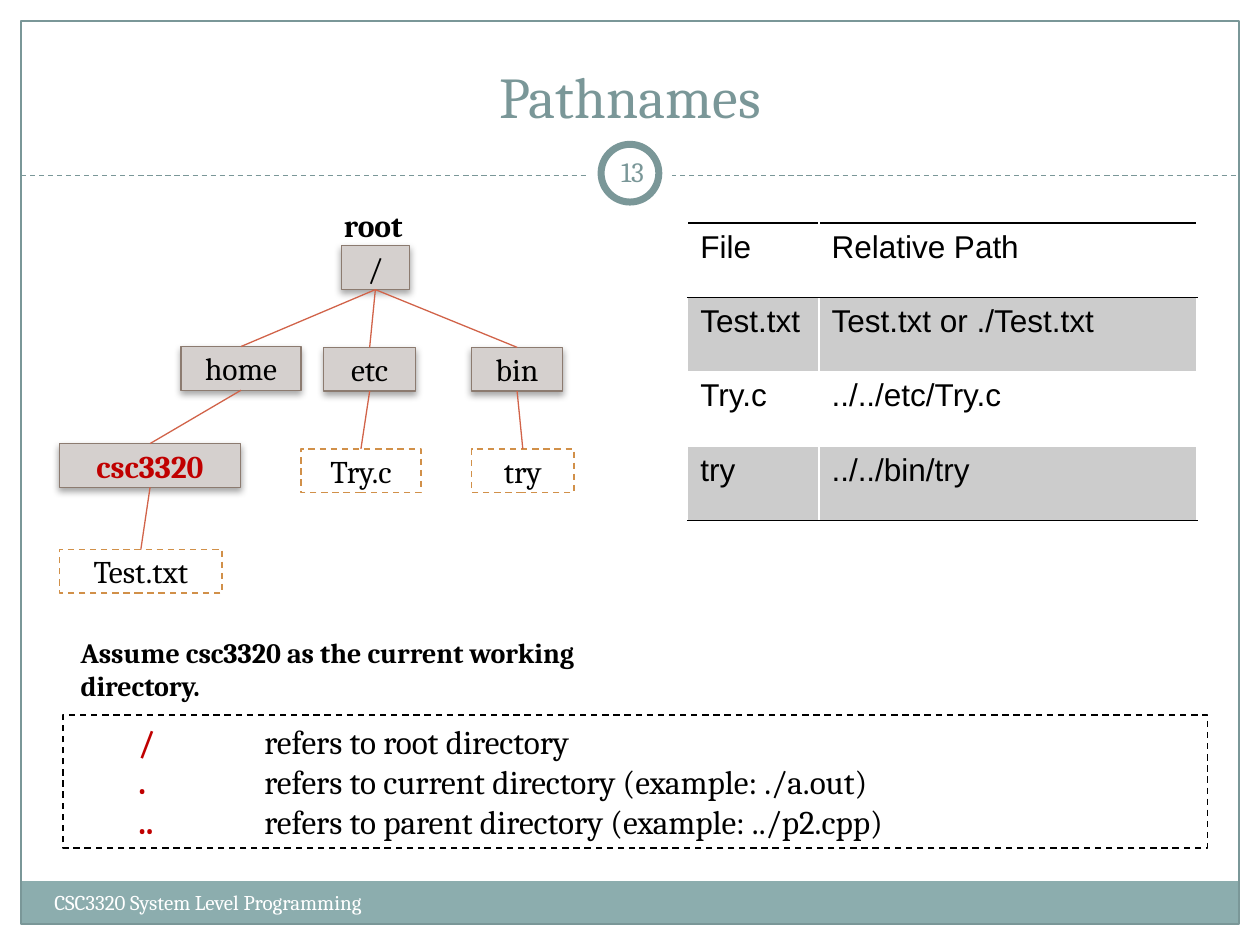
import pptx
import pptx.dml.color
import pptx.enum.dml
import pptx.enum.shapes
import pptx.enum.text
import pptx.oxml.ns
import pptx.util
from lxml import etree

Pt = pptx.util.Pt
SHAPE = pptx.enum.shapes.MSO_SHAPE
ALIGN = pptx.enum.text.PP_ALIGN
ANCHOR = pptx.enum.text.MSO_ANCHOR
DASH = pptx.enum.dml.MSO_LINE.DASH
qn = pptx.oxml.ns.qn

BLACK, WHITE, RED = "000000", "FFFFFF", "C00000"
TEAL, FOOTER_TEAL = "7A9798", "8CADAE"
BOTTOM, TOP = 2, 0


def rgb(color):
    return pptx.dml.color.RGBColor.from_string(color)


class SlideBuilder:
    font = "Cambria"

    def __init__(self, slide):
        self.slide = slide

    def run(self, paragraph, text, size, color=BLACK, bold=False, font=None):
        run = paragraph.add_run()
        run.text = text
        run.font.name = font or self.font
        run.font.size = Pt(size)
        run.font.bold = bold
        run.font.color.rgb = rgb(color)

    def title(self, text, left, top, width, height):
        title = self.slide.shapes.title
        title.left, title.top = Pt(left), Pt(top)
        title.width, title.height = Pt(width), Pt(height)
        frame = title.text_frame
        frame.auto_size = pptx.enum.text.MSO_AUTO_SIZE.NONE
        frame.vertical_anchor = ANCHOR.BOTTOM
        frame.paragraphs[0].alignment = ALIGN.CENTER
        self.run(frame.paragraphs[0], text, 33, TEAL)

    def text(self, text, left, top, width, height, size, color=BLACK, bold=False,
             align=ALIGN.LEFT, anchor=ANCHOR.TOP, side_inset=7.2):
        box = self.slide.shapes.add_textbox(Pt(left), Pt(top), Pt(width), Pt(height))
        frame = box.text_frame
        frame.word_wrap = True
        frame.vertical_anchor = anchor
        frame.margin_left = frame.margin_right = Pt(side_inset)
        frame.paragraphs[0].alignment = align
        self.run(frame.paragraphs[0], text, size, color, bold)

    def stroke(self, line, color, width, dashed=False):
        line.color.rgb = rgb(color)
        line.width = Pt(width)
        if dashed:
            line.dash_style = DASH.DASH

    def shape(self, left, top, width, height, fill=None, line=None, line_width=0.75,
              dashed=False, kind=SHAPE.RECTANGLE):
        shape = self.slide.shapes.add_shape(kind, Pt(left), Pt(top), Pt(width), Pt(height))
        shape.shadow.inherit = False
        if fill:
            shape.fill.solid()
            shape.fill.fore_color.rgb = rgb(fill)
        else:
            shape.fill.background()
        if line:
            self.stroke(shape.line, line, line_width, dashed)
        else:
            shape.line.fill.background()
        return shape

    def drop_shadow(self, shape):
        effects = shape._element.spPr.find(qn("a:effectLst"))
        shadow = etree.SubElement(effects, qn("a:outerShdw"), blurRad=str(Pt(4)),
                                  dist=str(Pt(2)), dir="5400000", rotWithShape="0")
        color = etree.SubElement(shadow, qn("a:srgbClr"), val=BLACK)
        etree.SubElement(color, qn("a:alpha"), val="35000")

    def node(self, name, left, top, width, is_file, color=BLACK, bold=False):
        if is_file:
            node = self.shape(left, top, width, 25, WHITE, "D19049", 0.9, dashed=True)
        else:
            node = self.shape(left, top, width, 25, "D5D0CE", "8C7B70")
            self.drop_shadow(node)
        node.text_frame.vertical_anchor = ANCHOR.MIDDLE
        node.text_frame.paragraphs[0].alignment = ALIGN.CENTER
        self.run(node.text_frame.paragraphs[0], name, 18, color, bold)
        return node

    def line(self, x1, y1, x2, y2, color, dashed=False):
        line = self.slide.shapes.add_connector(
            pptx.enum.shapes.MSO_CONNECTOR.STRAIGHT, Pt(x1), Pt(y1), Pt(x2), Pt(y2))
        self.stroke(line.line, color, 0.75, dashed)
        etree.SubElement(line._element.spPr, qn("a:effectLst"))
        return line

    def branch(self, parent, child):
        branch = self.line(0, 0, 0, 0, "D16349")
        branch.begin_connect(parent, BOTTOM)
        branch.end_connect(child, TOP)

    def definitions(self, entries, left, top, width, height):
        box = self.shape(left, top, width, height, WHITE, BLACK, 0.9, dashed=True)
        frame = box.text_frame
        frame.vertical_anchor = ANCHOR.TOP
        for index, (symbol, meaning) in enumerate(entries):
            entry = frame.add_paragraph() if index else frame.paragraphs[0]
            entry.alignment = ALIGN.LEFT
            # Hanging indent: the tab lands on the left margin
            properties = entry._p.get_or_add_pPr()
            properties.set("marL", str(Pt(108)))
            properties.set("indent", str(Pt(-72)))
            self.run(entry, symbol + "\t", 19, RED, True)
            self.run(entry, meaning, 19)

    def border(self, cell, sides):
        for position, side in enumerate(sides):
            edge = etree.Element(qn("a:" + side), w=str(Pt(1)))
            fill = etree.SubElement(edge, qn("a:solidFill"))
            etree.SubElement(fill, qn("a:srgbClr"), val=BLACK)
            cell._tc.get_or_add_tcPr().insert(position, edge)

    def table(self, rows, left, top, widths, row_height):
        table = self.slide.shapes.add_table(
            len(rows), len(widths), Pt(left), Pt(top),
            Pt(sum(widths)), Pt(row_height * len(rows))).table
        table.first_row = table.horz_banding = False
        for column, width in zip(table.columns, widths):
            column.width = Pt(width)
        borders = {0: ["lnT", "lnB"], 1: ["lnT"], len(rows) - 1: ["lnB"]}
        for r, row in enumerate(rows):
            table.rows[r].height = Pt(row_height)
            for c, value in enumerate(row):
                cell = table.cell(r, c)
                if r % 2:
                    cell.fill.solid()
                    cell.fill.fore_color.rgb = rgb("CCCCCC")
                else:
                    cell.fill.background()
                self.border(cell, borders.get(r, []))
                self.run(cell.text_frame.paragraphs[0], value, 18, font="Arial")


def main():
    deck = pptx.Presentation()
    deck.slide_width, deck.slide_height = Pt(720), Pt(540)
    page = SlideBuilder(deck.slides.add_slide(deck.slide_layouts[5]))

    # Frame, footer and slide number
    page.shape(12, 503.5, 695.5, 24.5, FOOTER_TEAL)
    page.shape(12, 12, 696, 516, line=TEAL)
    page.line(12, 100.5, 708, 100.5, TEAL, dashed=True)
    page.shape(336, 75.5, 48, 48, WHITE, kind=SHAPE.OVAL)
    page.shape(343.5, 82.5, 33, 33, WHITE, TEAL, 4, kind=SHAPE.OVAL)
    page.title("Pathnames", 24, 18, 672, 60)
    page.text("CSC3320 System Level Programming", 24, 504.5, 282, 29, 12, WHITE)
    page.text("13", 343.5, 80.5, 36, 35, 16, TEAL, align=ALIGN.CENTER,
              anchor=ANCHOR.MIDDLE, side_inset=3.6)

    # Directory tree: name, parent, left, top, width, is it a file
    tree = [
        ("/", None, 195, 140.5, 39, False),
        ("home", "/", 103.5, 198, 68.5, False),
        ("etc", "/", 185, 198.5, 52.5, False),
        ("bin", "/", 269.5, 198.5, 52, False),
        ("csc3320", "home", 34, 253.5, 103.5, False),
        ("Try.c", "etc", 172, 256.5, 68.5, True),
        ("try", "bin", 269.5, 256.5, 58.5, True),
        ("Test.txt", "csc3320", 34, 314, 93, True),
    ]
    current = "csc3320"
    nodes = {}
    for name, parent, left, top, width, is_file in tree:
        style = {"color": RED, "bold": True} if name == current else {}
        nodes[name] = page.node(name, left, top, width, is_file, **style)
    for name, parent, *_ in tree:
        if parent:
            page.branch(nodes[parent], nodes[name])
    page.text("root", 189.5, 114, 55, 29, 18, bold=True)

    # Relative paths
    page.table([
        ("File", "Relative Path"),
        ("Test.txt", "Test.txt or ./Test.txt"),
        ("Try.c", "../../etc/Try.c"),
        ("try", "../../bin/try"),
    ], 393, 127.5, [75, 216], 42.5)

    # Assumption and notation
    page.text("Assume csc3320 as the current working directory.",
              39, 359.5, 300, 46, 16, bold=True)
    page.definitions([
        ("/", "refers to root directory"),
        (".", "refers to current directory (example: ./a.out)"),
        ("..", "refers to parent directory (example: ../p2.cpp)"),
    ], 36, 408.5, 654, 76)

    deck.save("out.pptx")


if __name__ == "__main__":
    main()
